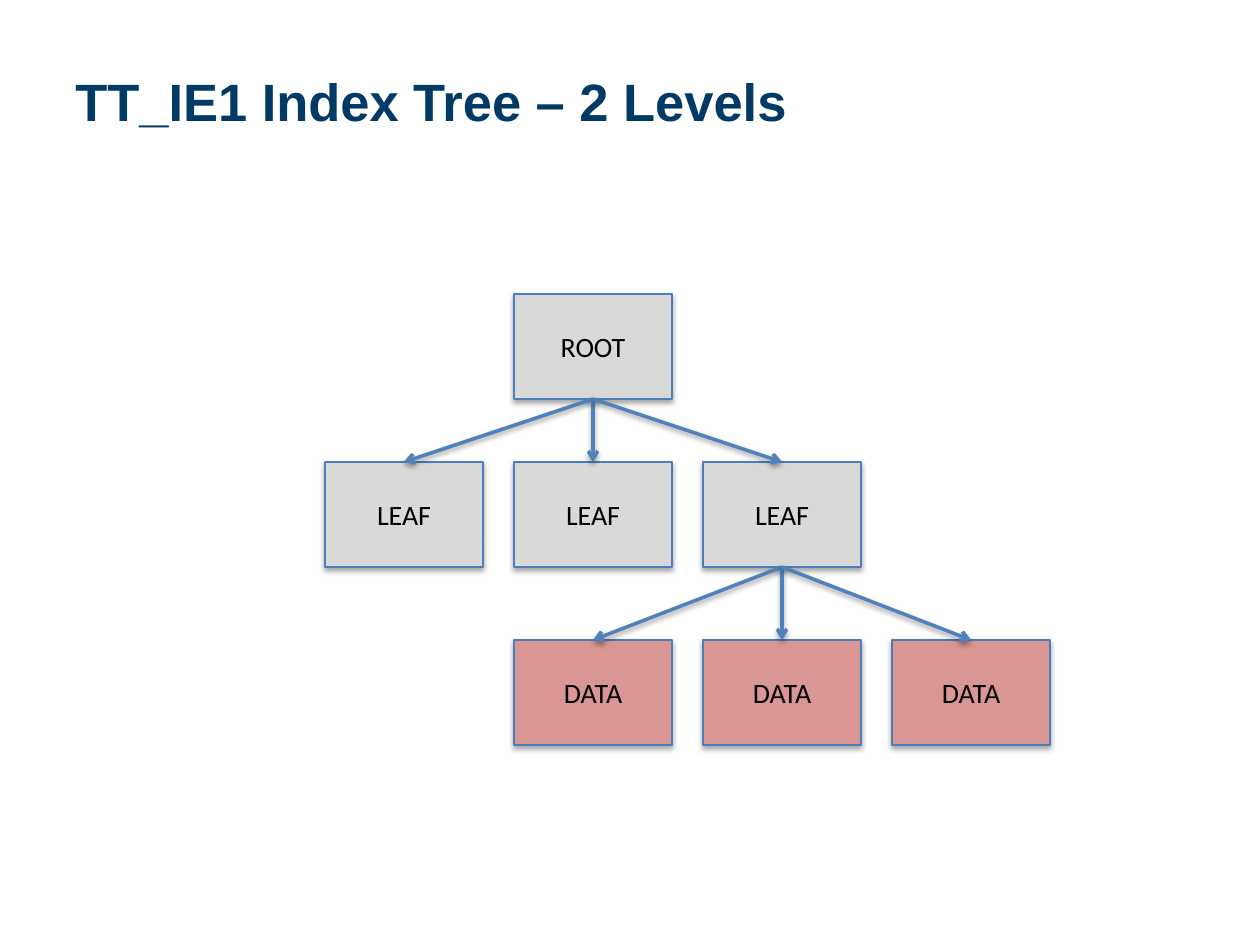
from pptx import Presentation
from pptx.dml.color import RGBColor
from pptx.enum.shapes import MSO_CONNECTOR as Link, MSO_SHAPE as Kind
from pptx.enum.text import MSO_ANCHOR as Anchor, PP_ALIGN as Align
from pptx.oxml import parse_xml
from pptx.oxml.ns import nsdecls
from pptx.util import Emu, Pt

SCALE = 914400 / 126
WIDE, HIGH = 158, 105
LEFT, STEP = 325, 189
ROOT_TOP, LEAF_TOP, DATA_TOP = 294, 462, 640
GREY, ROSE = "D9D9D9", "D99694"


def px(num):
    return Emu(round(num * SCALE))


def color(code):
    return RGBColor.from_string(code)


def style(para, name, size, code, bold=False):
    font = para.font
    font.name, font.size, font.bold = name, Pt(size), bold
    font.color.rgb = color(code)


def add_shade(shape, dist, alpha):
    shape.element.spPr.append(parse_xml(
        f'<a:effectLst {nsdecls("a")}>'
        f'<a:outerShdw blurRad="40000" dist="{dist}" dir="5400000" rotWithShape="0">'
        f'<a:srgbClr val="000000"><a:alpha val="{alpha}"/></a:srgbClr>'
        '</a:outerShdw></a:effectLst>'))


def add_title(slide, text):
    box = slide.shapes.add_textbox(px(63), px(38), px(1135), px(125))
    frame = box.text_frame
    frame.word_wrap = True
    frame.vertical_anchor = Anchor.MIDDLE
    frame.text = text
    style(frame.paragraphs[0], "Arial", 30, "003A65", True)


def add_node(slide, text, col, top, fill):
    node = slide.shapes.add_shape(
        Kind.RECTANGLE, px(LEFT + col * STEP), px(top), px(WIDE), px(HIGH))
    node.fill.solid()
    node.fill.fore_color.rgb = color(fill)
    node.line.color.rgb = color("4B7EBC")
    node.line.width = Pt(0.75)
    add_shade(node, 23000, 35000)
    frame = node.text_frame
    frame.margin_left = frame.margin_right = 0
    frame.vertical_anchor = Anchor.MIDDLE
    frame.text = text
    para = frame.paragraphs[0]
    para.alignment = Align.CENTER
    style(para, "Calibri", 16, "000000")


def add_arrow(slide, start, top, end, low):
    mid = LEFT + WIDE / 2
    arrow = slide.shapes.add_connector(
        Link.STRAIGHT, px(mid + start * STEP), px(top + HIGH),
        px(mid + end * STEP), px(low))
    arrow.line.color.rgb = color("4F81BD")
    arrow.line.width = Pt(2)
    arrow.line._get_or_add_ln().append(
        parse_xml(f'<a:tailEnd {nsdecls("a")} type="arrow"/>'))
    add_shade(arrow, 20000, 38000)


def add_level(slide, text, owner, top, low, fill):
    cols = range(owner - 1, owner + 2)
    for col in cols:
        add_node(slide, text, col, low, fill)
    for col in cols:
        add_arrow(slide, owner, top, col, low)


def main():
    deck = Presentation()
    deck.slide_width, deck.slide_height = px(1260), px(945)
    slide = deck.slides.add_slide(deck.slide_layouts[6])
    add_title(slide, "TT_IE1 Index Tree – 2 Levels")
    add_node(slide, "ROOT", 1, ROOT_TOP, GREY)
    add_level(slide, "LEAF", 1, ROOT_TOP, LEAF_TOP, GREY)
    add_level(slide, "DATA", 2, LEAF_TOP, DATA_TOP, ROSE)
    deck.save("out.pptx")


if __name__ == "__main__":
    main()
